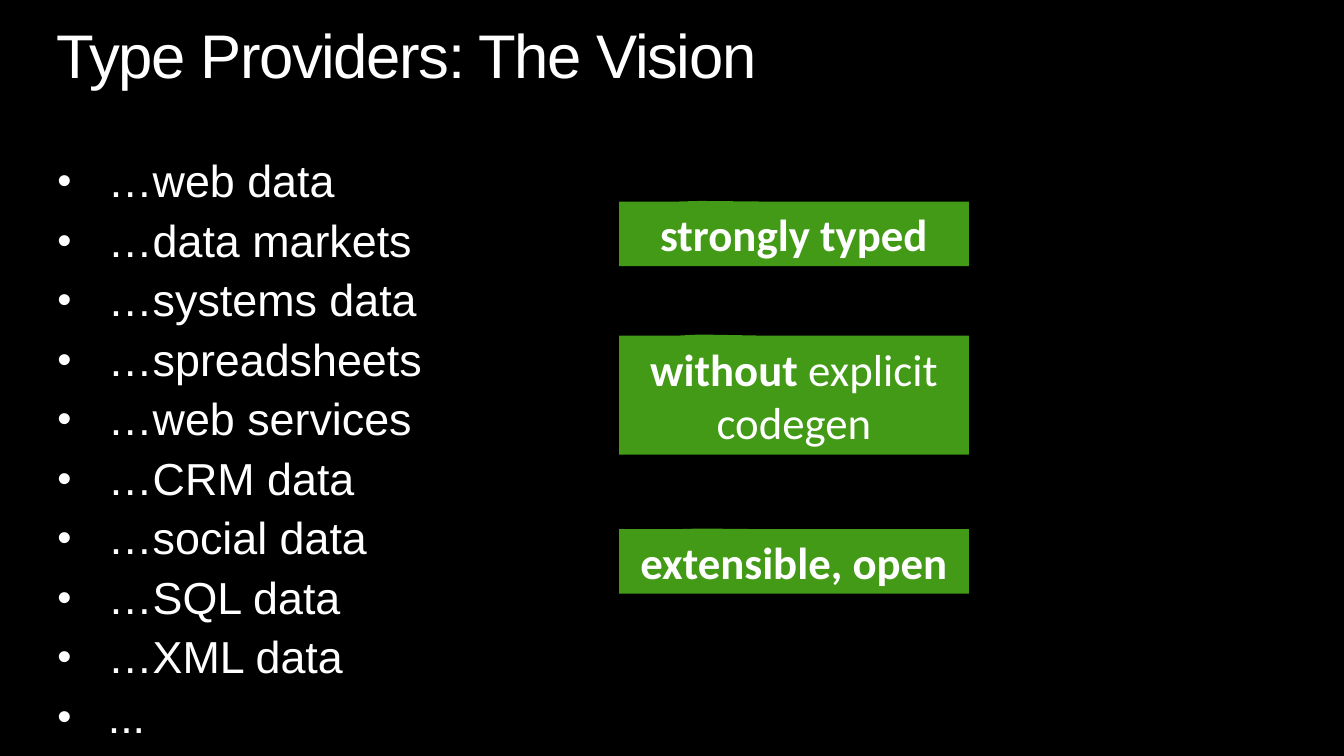
from dataclasses import dataclass

from lxml import etree
from pptx import Presentation
from pptx.dml.color import RGBColor
from pptx.enum import shapes, text
from pptx.oxml import ns
from pptx.util import Inches, Pt


@dataclass(frozen=True)
class Theme:
    background: RGBColor = RGBColor(0x00, 0x00, 0x00)
    foreground: RGBColor = RGBColor(0xFF, 0xFF, 0xFF)
    callout: RGBColor = RGBColor(0x42, 0x9A, 0x16)
    main_font: str = "Arial"
    callout_font: str = "Calibri"
    title_size: Pt = Pt(44)
    text_size: Pt = Pt(32)


THEME = Theme()

SOURCES = [
    "…web data", "…data markets", "…systems data", "…spreadsheets",
    "…web services", "…CRM data", "…social data", "…SQL data",
    "…XML data", "...",
]

CALLOUTS = [
    (2, 0.64, [("strongly typed", True)]),
    (3.33, 1.18, [("without ", True), ("explicit codegen", False)]),
    (5.25, 0.64, [("extensible, open", True)]),
]


def set_font(paragraph, name, size):
    font = paragraph.font
    font.name = name
    font.size = size
    font.color.rgb = THEME.foreground


def place(shape, left, top, width, height):
    shape.left, shape.top = Inches(left), Inches(top)
    shape.width, shape.height = Inches(width), Inches(height)


def prepare_frame(placeholder):
    frame = placeholder.text_frame
    frame.margin_left = frame.margin_right = 0
    frame.margin_top = frame.margin_bottom = 0
    frame.vertical_anchor = text.MSO_ANCHOR.TOP
    frame.word_wrap = True
    frame.auto_size = text.MSO_AUTO_SIZE.SHAPE_TO_FIT_TEXT
    return frame


def add_bullet(paragraph):
    properties = paragraph._p.get_or_add_pPr()
    properties.set("marL", str(Inches(0.5)))
    properties.set("indent", str(-Inches(0.5)))
    etree.SubElement(properties, ns.qn("a:buSzPct"), val="90000")
    etree.SubElement(properties, ns.qn("a:buFont"), typeface=THEME.main_font)
    etree.SubElement(properties, ns.qn("a:buChar"), char="•")


def fill_title(title, wording):
    place(title, 0.56, 0.25, 12.22, 0.67)
    paragraph = prepare_frame(title).paragraphs[0]
    run = paragraph.add_run()
    run.text = wording
    run.font._element.set("spc", "-100")
    paragraph.alignment = text.PP_ALIGN.LEFT
    paragraph.line_spacing = 0.9
    set_font(paragraph, THEME.main_font, THEME.title_size)


def fill_list(body, items):
    place(body, 0.57, 1.58, 12.19, 6.41)
    frame = prepare_frame(body)
    frame.text = "\n".join(items)
    for index, paragraph in enumerate(frame.paragraphs):
        add_bullet(paragraph)
        paragraph.line_spacing = 0.9
        paragraph.space_before = Pt(7.9 if index else 0)
        set_font(paragraph, THEME.main_font, THEME.text_size)


def add_callout(slide, top, height, runs):
    shape = slide.shapes.add_shape(
        shapes.MSO_SHAPE.RECTANGULAR_CALLOUT,
        Inches(6.14), Inches(top), Inches(3.47), Inches(height))
    shape.adjustments[0] = -0.27
    shape.adjustments[1] = -0.51
    shape.shadow.inherit = False
    shape.fill.solid()
    shape.fill.fore_color.rgb = THEME.callout
    shape.line.fill.background()
    frame = shape.text_frame
    frame.word_wrap = True
    frame.auto_size = text.MSO_AUTO_SIZE.SHAPE_TO_FIT_TEXT
    frame.vertical_anchor = text.MSO_ANCHOR.MIDDLE
    paragraph = frame.paragraphs[0]
    paragraph.alignment = text.PP_ALIGN.CENTER
    set_font(paragraph, THEME.callout_font, THEME.text_size)
    for wording, bold in runs:
        run = paragraph.add_run()
        run.text = wording
        run.font.bold = bold


def main():
    presentation = Presentation()
    presentation.slide_width = Inches(13.33)
    presentation.slide_height = Inches(7.5)
    slide = presentation.slides.add_slide(presentation.slide_layouts[1])
    slide.background.fill.solid()
    slide.background.fill.fore_color.rgb = THEME.background
    fill_title(slide.shapes.title, "Type Providers: The Vision")
    fill_list(slide.placeholders[1], SOURCES)
    for top, height, runs in CALLOUTS:
        add_callout(slide, top, height, runs)
    presentation.save("out.pptx")


if __name__ == "__main__":
    main()
